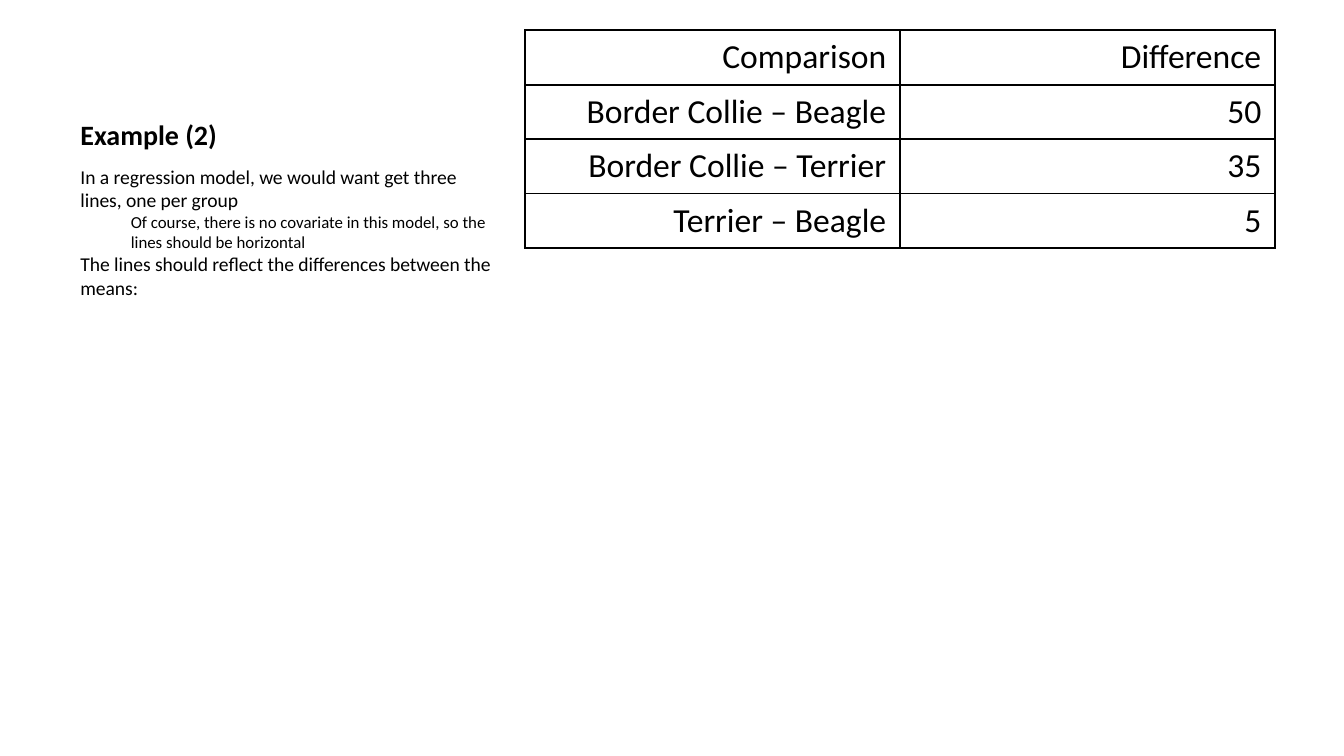
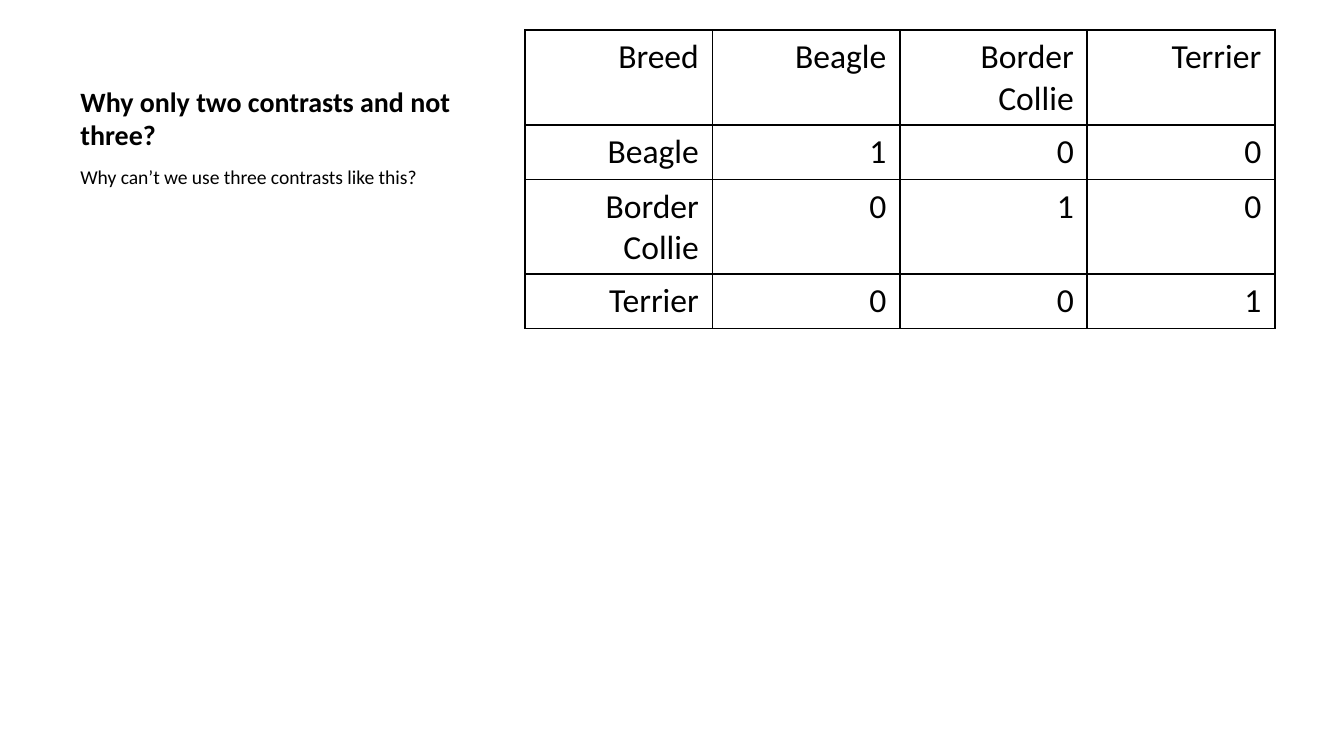
"""Build two slides on dog breed contrasts, each with text beside a table."""
from lxml.etree import SubElement
from pptx import Presentation
from pptx.dml.color import RGBColor
from pptx.enum.text import MSO_ANCHOR as Anchor, PP_ALIGN as Align
from pptx.oxml.ns import qn
from pptx.util import Pt

PX = 4572
FONT, INK, PAPER = "Calibri", "000000", "FFFFFF"
LEFT, TOP, TEXT_WIDTH = 100, 45, 658
TITLE_HEIGHT, BODY_TOP, BODY_HEIGHT = 190, 235, 770
TABLE_LEFT, TABLE_WIDTH, TABLE_HEIGHT, ROW_HEIGHT = 781, 1116, 958, 30
CELL_BOTTOM = 11
LEVEL_SIZES, LEVEL_INDENT = [10.5, 9], 75

slides = [
    {
        "title": "Example (2)",
        "body": [
            (0, "In a regression model, we would want get three lines, one per group"),
            (1, "Of course, there is no covariate in this model, so the lines should be horizontal"),
            (0, "The lines should reflect the differences between the means:"),
        ],
        "table": [
            ["Comparison", "Difference"],
            ["Border Collie – Beagle", "50"],
            ["Border Collie – Terrier", "35"],
            ["Terrier – Beagle", "5"],
        ],
    },
    {
        "title": "Why only two contrasts and not three?",
        "body": [(0, "Why can’t we use three contrasts like this?")],
        "table": [
            ["Breed", "Beagle", "Border Collie", "Terrier"],
            ["Beagle", "1", "0", "0"],
            ["Border Collie", "0", "1", "0"],
            ["Terrier", "0", "0", "1"],
        ],
    },
]


def color(code):
    return RGBColor.from_string(code)


def write(para, text, size, bold=False):
    para.text = text
    for span in para.runs:
        span.font.name = FONT
        span.font.size = Pt(size)
        span.font.bold = bold
        span.font.color.rgb = color(INK)


deck = Presentation()
deck.slide_width, deck.slide_height = 2000 * PX, 1125 * PX

for content in slides:
    page = deck.slides.add_slide(deck.slide_layouts[6])
    page.background.fill.solid()
    page.background.fill.fore_color.rgb = color(PAPER)

    title = page.shapes.add_textbox(LEFT * PX, TOP * PX, TEXT_WIDTH * PX, TITLE_HEIGHT * PX)
    title.text_frame.word_wrap = True
    title.text_frame.vertical_anchor = Anchor.BOTTOM
    write(title.text_frame.paragraphs[0], content["title"], 15, bold=True)

    body = page.shapes.add_textbox(LEFT * PX, BODY_TOP * PX, TEXT_WIDTH * PX, BODY_HEIGHT * PX)
    frame = body.text_frame
    frame.word_wrap = True
    for index, (level, text) in enumerate(content["body"]):
        para = frame.add_paragraph() if index else frame.paragraphs[0]
        para.level = level
        para._p.get_or_add_pPr().set("marL", str(level * LEVEL_INDENT * PX))
        write(para, text, LEVEL_SIZES[level])

    rows = content["table"]
    columns = len(rows[0])
    holder = page.shapes.add_table(
        len(rows), columns, TABLE_LEFT * PX, TOP * PX, TABLE_WIDTH * PX, TABLE_HEIGHT * PX
    )
    table = holder.table
    table.first_row = table.horz_banding = False
    for column in table.columns:
        column.width = TABLE_WIDTH // columns * PX
    for row, texts in zip(table.rows, rows):
        row.height = ROW_HEIGHT * PX
        for cell, text in zip(row.cells, texts):
            write(cell.text_frame.paragraphs[0], text, 18)
            cell.text_frame.paragraphs[0].alignment = Align.RIGHT
            cell.margin_bottom = CELL_BOTTOM * PX
            properties = cell._tc.get_or_add_tcPr()
            for side in ("a:lnL", "a:lnR", "a:lnT", "a:lnB"):
                border = SubElement(properties, qn(side), w=str(Pt(1)))
                fill = SubElement(border, qn("a:solidFill"))
                SubElement(fill, qn("a:srgbClr"), val=INK)
            cell.fill.background()
    holder.height = TABLE_HEIGHT * PX

deck.save("out.pptx")
